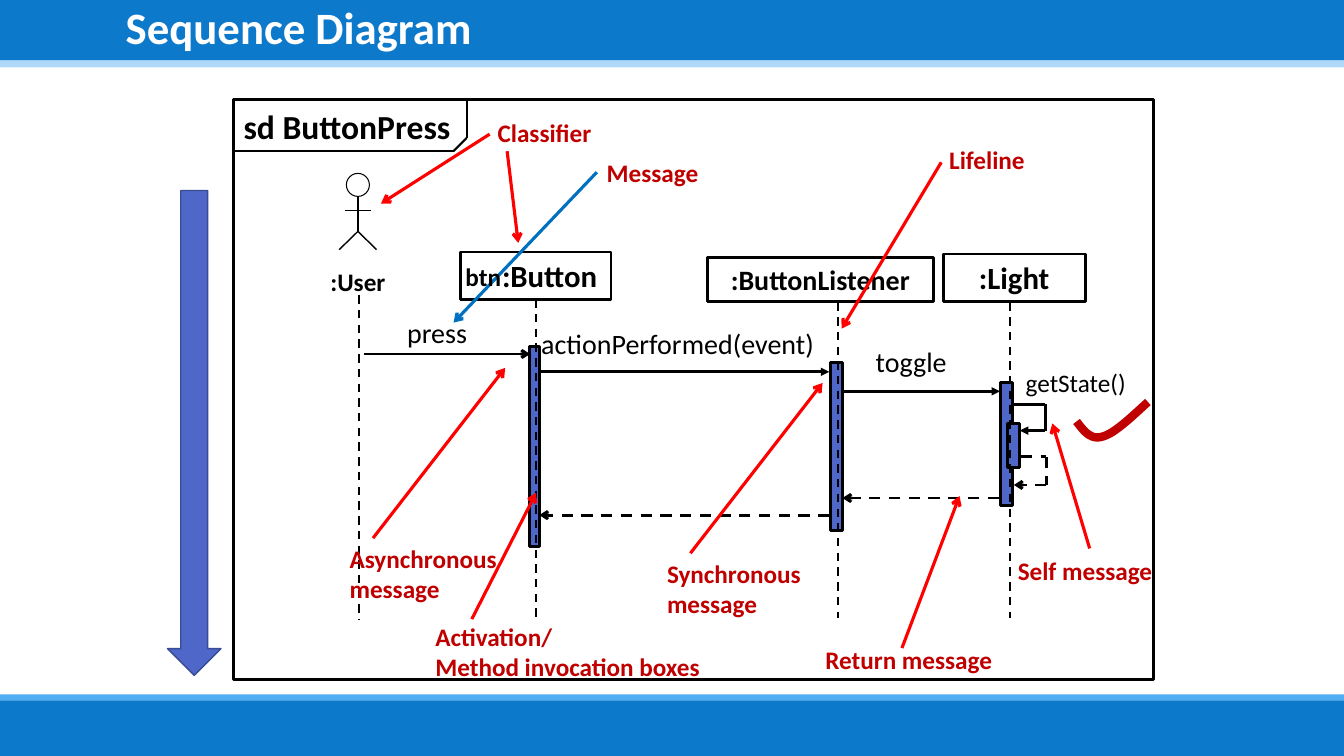
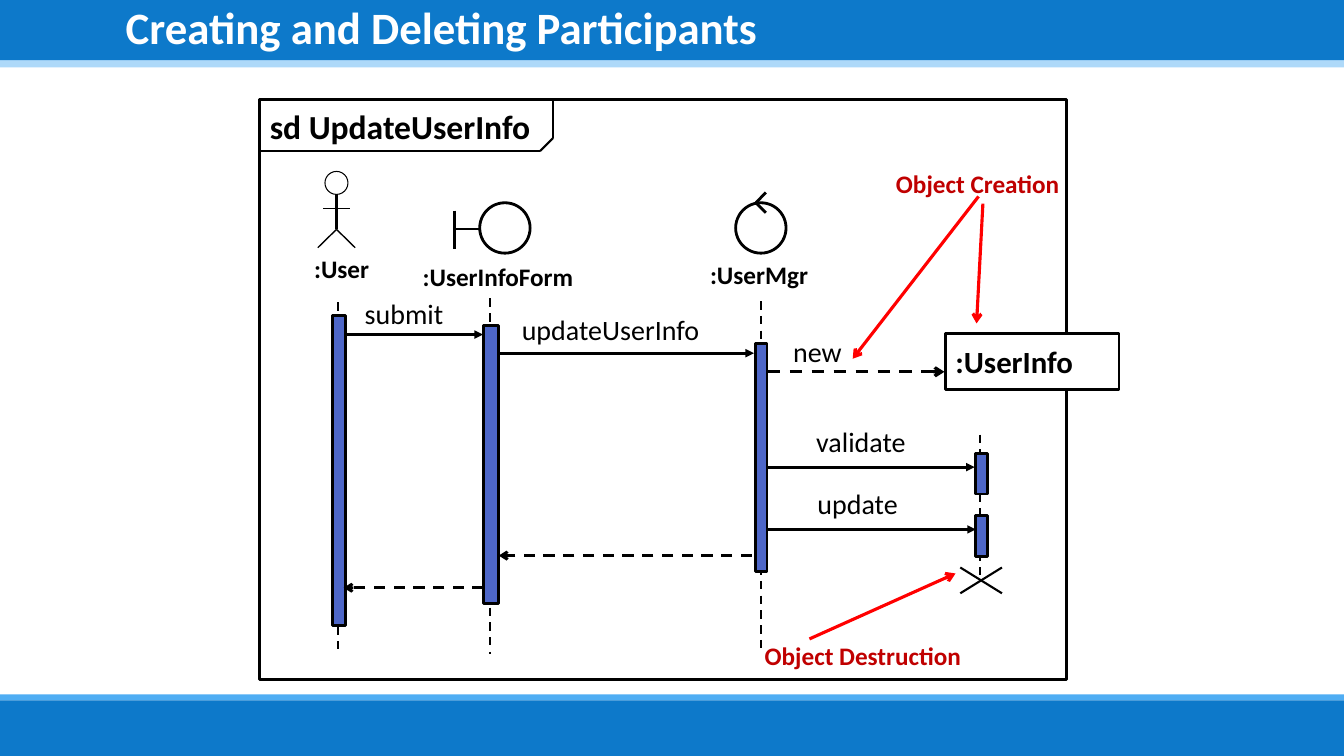
from lxml import etree
from pptx import Presentation
from pptx import util as u
from pptx.dml.color import RGBColor
from pptx.enum import dml, shapes, text
from pptx.oxml.ns import qn

FONT = "Calibri"
SLIDE_WIDTH, SLIDE_HEIGHT = 33.87, 19.05
FRAME_TOP, FRAME_HEIGHT = 2.51, 14.61
COLORS = {
    "black": "000000",
    "white": "FFFFFF",
    "band": "0D79CA",
    "band_top_edge": "8CC9F7",
    "band_bottom_edge": "4FADF3",
    "activation": "4E67C8",
    "activation_edge": "3A4C94",
    "note": "C00000",
    "pointer": "FF0000",
    "message_pointer": "0070C0",
}


def rgb(color):
    return RGBColor.from_string(COLORS[color])


def add_box(slide, left, top, width, height, fill=None, line=None, weight=2,
            kind=shapes.MSO_SHAPE.RECTANGLE):
    shape = slide.shapes.add_shape(
        kind, u.Cm(left), u.Cm(top), u.Cm(width), u.Cm(height))
    style_shape(shape, fill, line, weight)
    return shape


def style_shape(shape, fill, line, weight):
    shape.shadow.inherit = False
    if fill:
        shape.fill.solid()
        shape.fill.fore_color.rgb = rgb(fill)
    else:
        shape.fill.background()
    if line:
        shape.line.color.rgb = rgb(line)
        shape.line.width = u.Pt(weight)
    else:
        shape.line.fill.background()


def add_line(slide, start, end, color="black", weight=2.0, dashed=False, arrow=None):
    """Draw a connector; arrow is the DrawingML arrowhead type at its end."""
    connector = slide.shapes.add_connector(
        shapes.MSO_CONNECTOR.STRAIGHT, *(u.Cm(value) for value in (*start, *end)))
    connector.line.color.rgb = rgb(color)
    connector.line.width = u.Pt(weight)
    if dashed:
        connector.line.dash_style = dml.MSO_LINE.DASH
    properties = connector._element.spPr
    if arrow:
        etree.SubElement(properties.find(qn("a:ln")), qn("a:tailEnd"), type=arrow)
    etree.SubElement(properties, qn("a:effectLst"))
    return connector


def write(shape, content, size, color="black", bold=False,
          align=text.PP_ALIGN.LEFT, anchor=text.MSO_ANCHOR.TOP):
    frame = shape.text_frame
    frame.word_wrap = True
    frame.vertical_anchor = anchor
    frame.text = content
    for paragraph in frame.paragraphs:
        paragraph.alignment = align
        paragraph.font.name = FONT
        paragraph.font.size = u.Pt(size)
        paragraph.font.bold = bold
        paragraph.font.color.rgb = rgb(color)


def add_label(slide, content, left, top, width, size=20, **style):
    height = 0.25 + 0.043 * size * len(content.splitlines())
    box = slide.shapes.add_textbox(u.Cm(left), u.Cm(top), u.Cm(width), u.Cm(height))
    write(box, content, size, **style)


def add_caption(slide, content, center, top):
    width = 4.8
    add_label(slide, content, center - width / 2, top, width, 18,
              bold=True, align=text.PP_ALIGN.CENTER)


def add_base_slide(presentation, title):
    """Add a blank slide with its bands and title."""
    slide = presentation.slides.add_slide(presentation.slide_layouts[6])
    edge = add_box(slide, 0, 0, SLIDE_WIDTH, 1.7, "band_top_edge")
    color = edge._element.spPr.find(qn("a:solidFill"))[0]
    etree.SubElement(color, qn("a:alpha"), val="70000")
    add_box(slide, 0, 0, SLIDE_WIDTH, 1.52, "band")
    add_box(slide, 0, 17.5, SLIDE_WIDTH, 0.15, "band_bottom_edge")
    add_box(slide, 0, 17.65, SLIDE_WIDTH, 1.4, "band")
    title_box = slide.shapes.add_textbox(u.Cm(2.92), u.Cm(0), u.Cm(28), u.Cm(1.5))
    write(title_box, title, 32, "white", True, anchor=text.MSO_ANCHOR.MIDDLE)
    title_box.text_frame.paragraphs[0].line_spacing = 0.9
    return slide


def add_frame(slide, name, left, width, tab_width):
    """Draw the diagram frame and its name tab with a cut corner."""
    cut = 0.33
    right, bottom = left + tab_width, FRAME_TOP + 1.3
    add_box(slide, left, FRAME_TOP, width, FRAME_HEIGHT, line="black")
    add_label(slide, name, left, FRAME_TOP + 0.03, tab_width + 0.6, 24, bold=True)
    corners = [(left, bottom), (right - cut, bottom), (right, bottom - cut), (right, FRAME_TOP)]
    for start, end in zip(corners, corners[1:]):
        add_line(slide, start, end, weight=1.5)


def add_circle(slide, left, top, size, weight=2):
    add_box(slide, left, top, size, size, line="black", weight=weight,
            kind=shapes.MSO_SHAPE.OVAL)


def add_actor(slide, center, top):
    head, arms, hips, feet = 0.58, top + 0.94, top + 1.46, top + 1.92
    add_circle(slide, center - head / 2, top, head, 0.75)
    add_line(slide, (center - 0.33, arms), (center + 0.33, arms), weight=0.75)
    add_line(slide, (center, top + head), (center, hips), weight=1.5)
    for step in (-0.47, 0.47):
        add_line(slide, (center, hips), (center + step, feet), weight=1)


def add_lifeline(slide, x, top, bottom):
    return add_line(slide, (x, top), (x, bottom), weight=1.5, dashed=True)


def add_activation(slide, left, top, width, height):
    add_box(slide, left, top, width, height, "activation", "black")


def add_head(slide, name, left, top, width, height, size=22, fill=None,
             align=text.PP_ALIGN.CENTER):
    shape = add_box(slide, left, top, width, height, fill, "black")
    write(shape, name, size, bold=True, align=align, anchor=text.MSO_ANCHOR.MIDDLE)
    return shape


def add_message(slide, start, end, y, arrow="triangle", **style):
    add_line(slide, (start, y), (end, y), arrow=arrow, **style)


def add_return(slide, start, end, y):
    add_message(slide, start, end, y, "arrow", dashed=True)


def add_self_message(slide, points, arrow, dashed=False):
    last = len(points) - 2
    for index, (start, end) in enumerate(zip(points, points[1:])):
        add_line(slide, start, end, dashed=dashed, arrow=arrow if index == last else None)


def add_note(slide, content, left, top, width, *pointers, color="pointer"):
    for start, end in pointers:
        add_line(slide, start, end, color, 2.25, arrow="arrow")
    add_label(slide, content, left, top, width, 18, color="note", bold=True)


def bezier(points, steps=12):
    """Return points along a cubic curve, without its start."""
    weights = (1, 3, 3, 1)
    return [
        tuple(sum(weight * (1 - t) ** (3 - i) * t ** i * point[axis]
                  for i, (weight, point) in enumerate(zip(weights, points)))
              for axis in (0, 1))
        for t in (step / steps for step in range(1, steps + 1))
    ]


def add_check_mark(slide):
    start, middle, end = (27.13, 10.62), (27.79, 11), (28.93, 10.13)
    curve = bezier((start, (27.31, 10.85), (27.48, 11.1), middle))
    curve += bezier((middle, (28.09, 10.92), (28.5, 10.52), end))
    builder = slide.shapes.build_freeform(*(u.Cm(value) for value in start))
    builder.add_line_segments([(u.Cm(x), u.Cm(y)) for x, y in curve], close=False)
    style_shape(builder.convert_to_shape(), None, "note", 6)


def add_button_press(presentation):
    slide = add_base_slide(presentation, "Sequence Diagram")
    add_frame(slide, "sd ButtonPress", 5.89, 23.19, 5.87)
    add_lifeline(slide, 9.04, 7.44, 15.62)
    add_caption(slide, ":User", 9.02, 6.58)
    add_actor(slide, 9.02, 4.37)

    for activation in ((13.34, 8.74, 0.25, 5.03), (20.93, 9.14, 0.3, 4.22),
                       (25.22, 9.63, 0.3, 3.12), (25.4, 10.67, 0.3, 1.12)):
        add_activation(slide, *activation)
    add_message(slide, 9.17, 13.36, 8.92, "arrow")
    add_message(slide, 13.61, 20.9, 9.37)
    add_message(slide, 21.23, 25.2, 9.86)
    add_return(slide, 25.17, 21.23, 12.55)
    add_return(slide, 20.9, 13.59, 12.98)
    add_self_message(
        slide, [(25.53, 10.19), (26.34, 10.19), (26.34, 10.85), (25.7, 10.85)], "triangle")
    add_self_message(
        slide, [(25.73, 11.51), (26.37, 11.51), (26.37, 12.22), (25.55, 12.22)], "arrow", True)
    add_label(slide, "press", 10.01, 7.82, 2.4)
    add_label(slide, "actionPerformed(event)", 13.39, 8.1, 8)
    add_label(slide, "toggle", 21.82, 8.56, 2.9)
    add_label(slide, "getState()", 25.6, 9.12, 3.2, 18)

    add_head(slide, ":Light", 23.77, 6.4, 3.58, 1.19)
    add_lifeline(slide, 25.45, 7.62, 15.57)
    add_head(slide, ":ButtonListener", 17.83, 6.48, 5.69, 1.12, 20)
    add_lifeline(slide, 21.11, 7.62, 15.57)
    button = add_head(slide, ":Button", 11.6, 6.35, 3.8, 1.19)
    button.text_frame.margin_left = u.Cm(0.95)
    add_lifeline(slide, 13.5, 7.54, 15.57).begin_connect(button, 2)

    add_note(slide, "Message", 15.04, 3.84, 3,
             ((15.04, 4.34), (11.43, 8.13)), color="message_pointer")
    for note in (
        ("Asynchronous\nmessage", 8.56, 13.56, 4.6, ((9.4, 13.56), (12.73, 9.27))),
        ("Synchronous\nmessage", 16.56, 13.94, 4.2, ((17.4, 13.94), (20.73, 9.65))),
        ("Lifeline", 23.67, 3.51, 2.6, ((23.72, 4.09), (21.21, 8.28))),
        ("Classifier", 12.29, 2.82, 3,
         ((12.34, 3.38), (9.6, 5.13)), ((12.78, 3.81), (13.06, 6.12))),
        ("Activation/\nMethod invocation boxes", 10.72, 15.52, 7.6,
         ((11.89, 15.6), (13.51, 12.42))),
        ("Return message", 20.55, 16.1, 5.1, ((22.73, 16.33), (24.18, 12.5))),
        ("Self message", 25.4, 13.87, 4.1, ((27.46, 13.82), (26.52, 10.67))),
    ):
        add_note(slide, *note)
    add_label(slide, "btn", 11.48, 6.45, 1.6, 18, bold=True)
    add_box(slide, 4.22, 4.8, 1.35, 12.22, "activation", "activation_edge", 1,
            shapes.MSO_SHAPE.DOWN_ARROW)
    add_check_mark(slide)


def add_update_user_info(presentation):
    slide = add_base_slide(presentation, "Creating and Deleting Participants")
    add_frame(slide, "sd UpdateUserInfo", 6.55, 20.32, 7.39)
    add_actor(slide, 8.48, 4.32)
    add_circle(slide, 12.09, 5.11, 1.27)
    add_line(slide, (11.46, 5.31), (11.46, 6.27))
    add_line(slide, (11.46, 5.77), (12.09, 5.77))
    add_circle(slide, 18.54, 5.11, 1.27)
    for tip in (4.85, 5.36):
        add_line(slide, (19.05, 5.11), (19.3, tip))
    add_caption(slide, ":User", 8.61, 6.27)
    add_caption(slide, ":UserInfoForm", 12.55, 6.45)
    add_caption(slide, ":UserMgr", 19.13, 6.4)

    for lifeline in ((8.51, 7.62, 16.38), (12.35, 7.52, 16.48),
                     (19.18, 7.59, 16.33), (24.69, 10.95, 14.55)):
        add_lifeline(slide, *lifeline)
    for activation in ((8.38, 7.95, 0.33, 7.82), (12.19, 8.2, 0.38, 7.01),
                       (19.03, 8.66, 0.3, 5.74), (24.59, 11.43, 0.3, 1.02),
                       (24.59, 13, 0.3, 1.02)):
        add_activation(slide, *activation)
    for message in ((8.71, 12.17, 8.43), (12.6, 19, 8.9),
                    (19.35, 24.56, 11.77), (19.35, 24.59, 13.34)):
        add_message(slide, *message)
    add_message(slide, 19.35, 23.8, 9.37, "arrow", weight=2.25, dashed=True)
    add_return(slide, 18.95, 12.57, 14)
    add_return(slide, 12.19, 8.66, 14.81)
    for label in (("submit", 8.94, 7.34, 3.2), ("updateUserInfo", 12.9, 7.75, 6),
                  ("new", 19.74, 8.31, 2.9), ("validate", 20.32, 10.57, 2.9),
                  ("update", 20.35, 12.14, 2.9)):
        add_label(slide, *label)

    add_line(slide, (24.2, 14.3), (25.25, 14.95), weight=1.5)
    add_line(slide, (25.25, 14.3), (24.2, 14.95), weight=1.5)
    add_note(slide, "Object Creation", 22.33, 4.11, 4.8,
             ((24.66, 4.95), (21.49, 9.04)), ((24.77, 5.13), (24.61, 8.15)))
    add_note(slide, "Object Destruction", 19.02, 16, 5.6, ((20.4, 16.1), (24.08, 14.45)))
    add_head(slide, ":UserInfo", 23.83, 8.41, 4.37, 1.4, fill="white",
             align=text.PP_ALIGN.LEFT)


def main():
    presentation = Presentation()
    presentation.slide_width = u.Cm(SLIDE_WIDTH)
    presentation.slide_height = u.Cm(SLIDE_HEIGHT)
    add_button_press(presentation)
    add_update_user_info(presentation)
    presentation.save("out.pptx")


if __name__ == "__main__":
    main()
